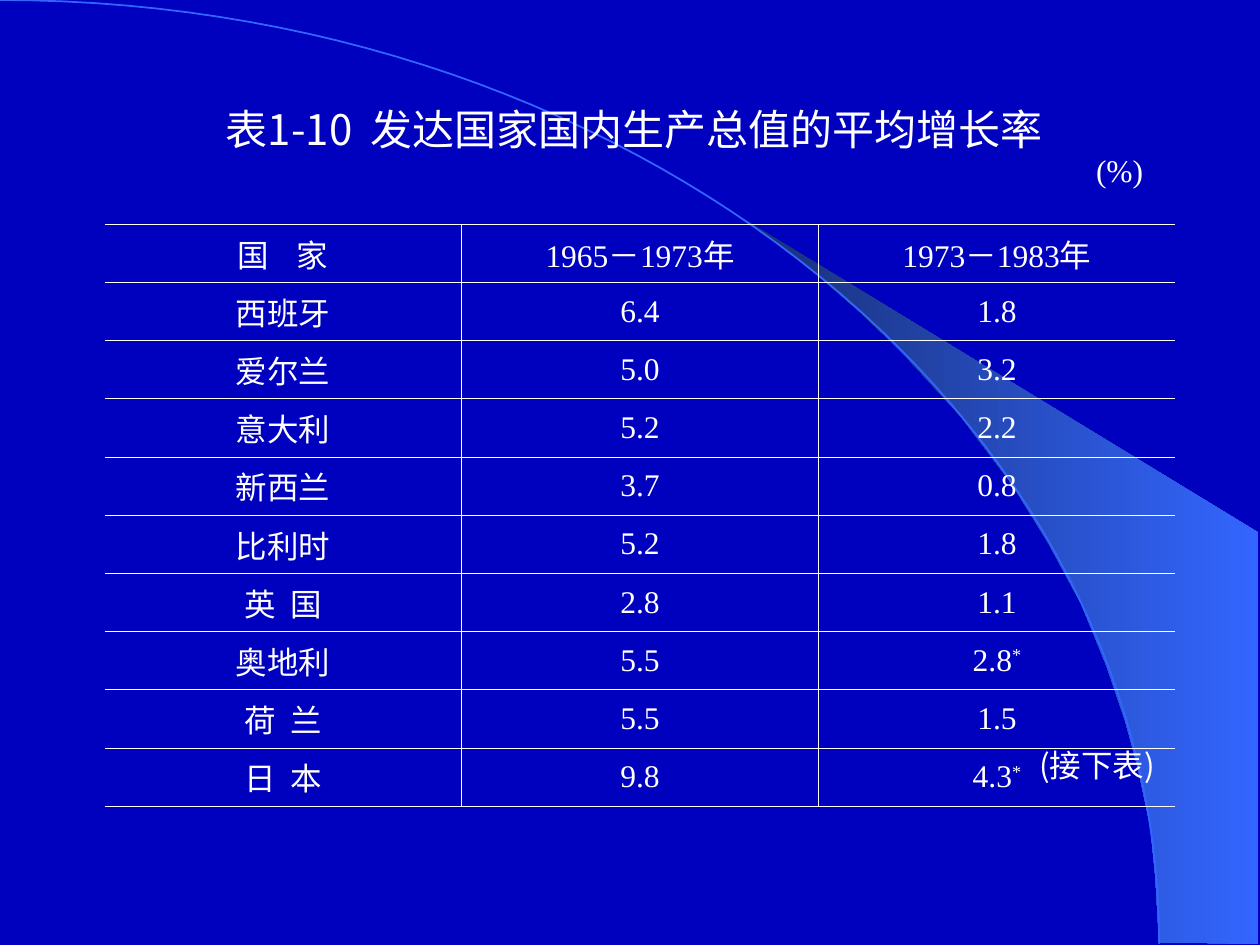
from lxml import etree
from pptx import Presentation
from pptx import util as u
from pptx.dml.color import RGBColor
from pptx.enum import text
from pptx.oxml import ns

WIDTH, HEIGHT = 10, 7.5
COLORS = {"background": "0000BF", "dark": "182F76", "light": "3366FF", "white": "FFFFFF"}
CHINESE, LATIN = "Noto Sans CJK SC", "Times New Roman"
SPACE_SHARE = 0.22  # width of one space as a share of the text size

TABLE_LEFT, TABLE_TOP = 0.83, 1.78
TABLE_WIDTH, TABLE_HEIGHT = 8.5, 4.62
HEADER = ("国 家", "1965－1973年", "1973－1983年")
GROWTH = [
    ("西班牙", "6.4", "1.8"),
    ("爱尔兰", "5.0", "3.2"),
    ("意大利", "5.2", "2.2"),
    ("新西兰", "3.7", "0.8"),
    ("比利时", "5.2", "1.8"),
    ("英 国", "2.8", "1.1"),
    ("奥地利", "5.5", "2.8*"),
    ("荷 兰", "5.5", "1.5"),
    ("日 本", "9.8", "4.3*"),
]

WEDGE = [
    (9.2, 7.48), (9.99, 7.49), (9.99, 4.23), (5.89, 1.73), (6.24, 1.99), (6.53, 2.22),
    (6.85, 2.5), (7.16, 2.8), (7.62, 3.3), (8.03, 3.84), (8.32, 4.31), (8.58, 4.79),
    (8.78, 5.28), (8.93, 5.72), (9.03, 6.09), (9.13, 6.56), (9.17, 6.96),
]
ARC_CONTROLS = [(0, 0), (5.08, 0), (9.2, 3.35), (9.2, 7.49)]


def color(name):
    return RGBColor.from_string(COLORS[name])


def add_run(paragraph, words, size, font):
    run = paragraph.add_run()
    run.text = words
    run.font.size = u.Pt(size)
    run.font.name = font
    run.font.color.rgb = color("white")
    east_asian = etree.SubElement(run.font._element, ns.qn("a:ea"))
    east_asian.set("typeface", CHINESE)
    return run


def add_words(paragraph, words, size, font, spaces=2):
    """Write words; a space is widened to several, a final star is raised."""
    before, gap, after = words.partition(" ")
    body = before.rstrip("*")
    add_run(paragraph, body, size, font)
    if body != before:
        star = add_run(paragraph, "*", size, font)
        star.font._element.set("baseline", "30000")
    if gap:
        space = add_run(paragraph, gap, size, font)
        extra = (spaces - 1) * SPACE_SHARE * size
        space.font._element.set("spc", str(round(extra * 100)))
        add_run(paragraph, after, size, font)


def add_label(slide, box, words, size, font, centered=False):
    shape = slide.shapes.add_textbox(*map(u.Inches, box))
    frame = shape.text_frame
    frame.word_wrap = centered
    paragraph = frame.paragraphs[0]
    if centered:
        frame.vertical_anchor = text.MSO_ANCHOR.MIDDLE
        paragraph.alignment = text.PP_ALIGN.CENTER
    else:
        frame.auto_size = text.MSO_AUTO_SIZE.SHAPE_TO_FIT_TEXT
    add_words(paragraph, words, size, font)


def add_outline(slide, points, close):
    corners = [(u.Inches(x), u.Inches(y)) for x, y in points]
    builder = slide.shapes.build_freeform(*corners[0])
    builder.add_line_segments(corners[1:], close=close)
    shape = builder.convert_to_shape()
    shape.shadow.inherit = False
    return shape


def curve_points(controls, steps=60):
    """Points along a cubic Bezier curve."""
    points = []
    for step in range(steps + 1):
        t = step / steps
        weights = ((1 - t) ** 3, 3 * t * (1 - t) ** 2, 3 * t ** 2 * (1 - t), t ** 3)
        points.append(tuple(sum(w * c[axis] for w, c in zip(weights, controls))
                            for axis in (0, 1)))
    return points


def add_backdrop(slide):
    fill = slide.background.fill
    fill.solid()
    fill.fore_color.rgb = color("background")

    wedge = add_outline(slide, WEDGE, close=True)
    wedge.line.fill.background()
    wedge.fill.gradient()
    wedge.fill.gradient_angle = 0
    for stop, name in zip(wedge.fill.gradient_stops, ("dark", "light")):
        stop.color.rgb = color(name)

    arc = add_outline(slide, curve_points(ARC_CONTROLS), close=False)
    arc.fill.background()
    arc.line.color.rgb = color("light")
    arc.line.width = u.Pt(1)


def set_border(cell, side, visible=True):
    properties = cell._tc.get_or_add_tcPr()
    line = etree.SubElement(properties, ns.qn("a:ln" + side))
    if visible:
        line.set("w", str(u.Pt(0.45)))
        fill = etree.SubElement(line, ns.qn("a:solidFill"))
        etree.SubElement(fill, ns.qn("a:srgbClr")).set("val", COLORS["white"])
    else:
        etree.SubElement(line, ns.qn("a:noFill"))


def add_growth_table(slide):
    rows = [HEADER] + GROWTH
    columns = len(HEADER)
    frame = slide.shapes.add_table(
        len(rows), columns, u.Inches(TABLE_LEFT), u.Inches(TABLE_TOP),
        u.Inches(TABLE_WIDTH), u.Inches(TABLE_HEIGHT))
    table = frame.table
    table.first_row = table.horz_banding = False
    for r, row in enumerate(rows):
        for c, words in enumerate(row):
            cell = table.cell(r, c)
            cell.vertical_anchor = text.MSO_ANCHOR.MIDDLE
            paragraph = cell.text_frame.paragraphs[0]
            paragraph.alignment = text.PP_ALIGN.CENTER
            add_words(paragraph, words, 18, LATIN if c else CHINESE,
                      spaces=2 if r else 4)
            set_border(cell, "L", c > 0)
            set_border(cell, "R", c < columns - 1)
            set_border(cell, "T")
            set_border(cell, "B")
            cell.fill.background()


def main():
    presentation = Presentation()
    presentation.slide_width = u.Inches(WIDTH)
    presentation.slide_height = u.Inches(HEIGHT)
    slide = presentation.slides.add_slide(presentation.slide_layouts[6])
    add_backdrop(slide)
    add_label(slide, (0.9, 0.76, 8.27, 0.52), "表1-10 发达国家国内生产总值的平均增长率",
              24, CHINESE, centered=True)
    add_growth_table(slide)
    add_label(slide, (8.6, 1.15, 0.62, 0.4), "(%)", 18, LATIN)
    add_label(slide, (8.15, 5.87, 1.37, 0.4), "(接下表)", 18, CHINESE)
    presentation.save("out.pptx")


if __name__ == "__main__":
    main()
